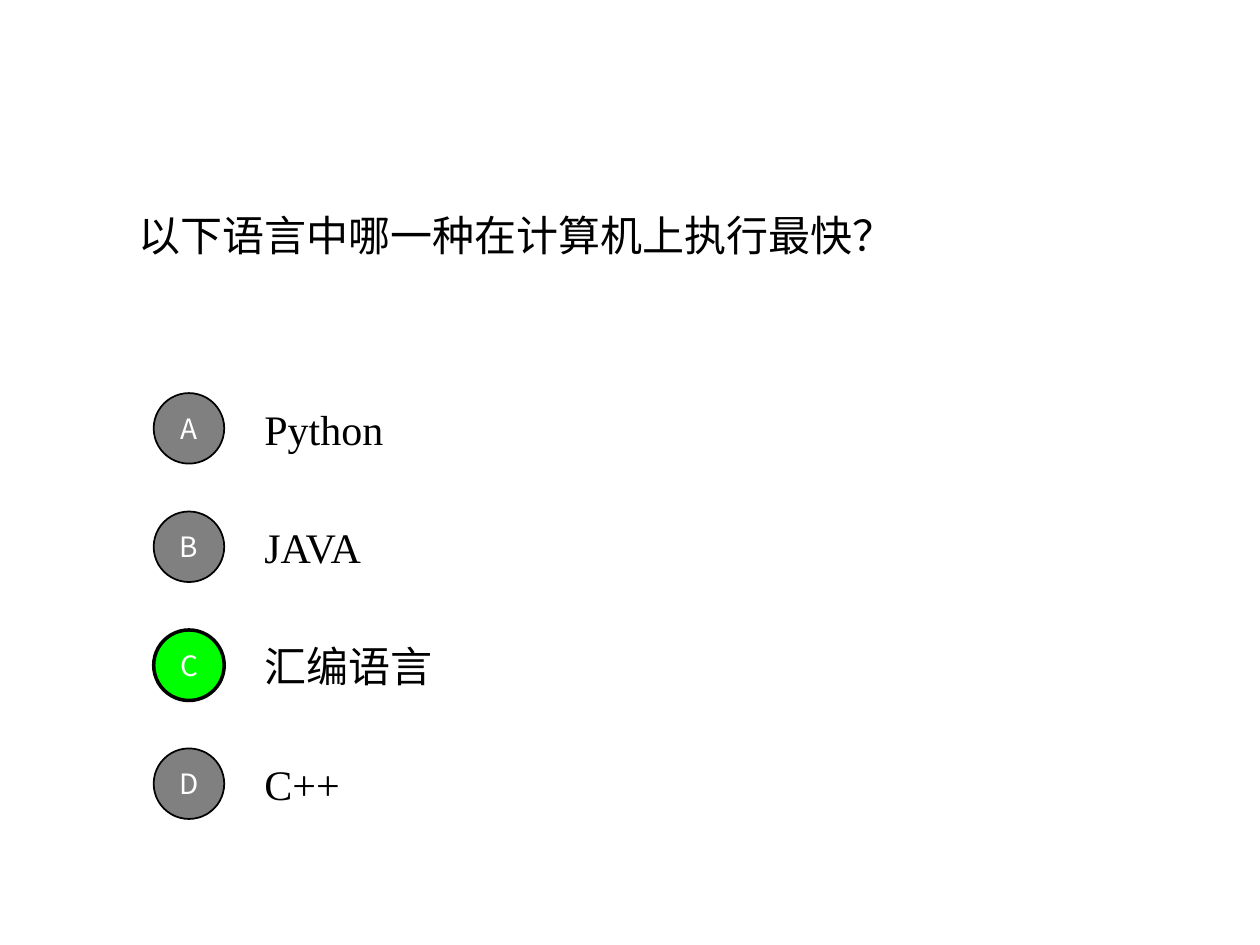
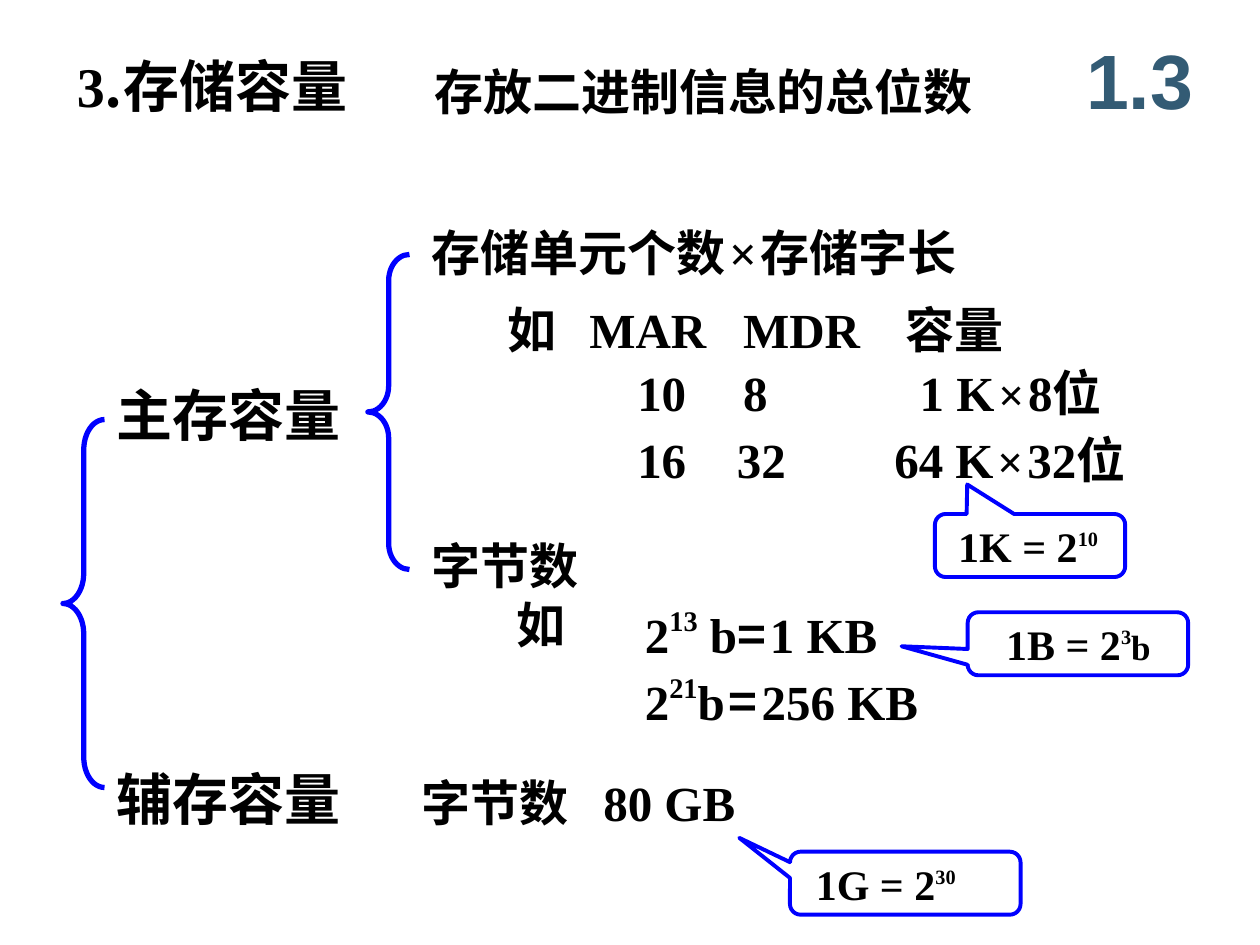
"""Build a quiz slide on languages and a slide on storage capacity."""
from lxml.etree import SubElement
from pptx import Presentation
from pptx.dml.color import RGBColor
from pptx.enum.shapes import MSO_SHAPE
from pptx.enum.text import MSO_ANCHOR, MSO_AUTO_SIZE, PP_ALIGN
from pptx.oxml.ns import qn
from pptx.util import Inches, Pt

BLACK = RGBColor(0x00, 0x00, 0x00)
WHITE = RGBColor(0xFF, 0xFF, 0xFF)
GREY = RGBColor(0x80, 0x80, 0x80)
GREEN = RGBColor(0x00, 0xFF, 0x00)
BLUE = RGBColor(0x00, 0x00, 0xFF)
TEAL = RGBColor(0x33, 0x5B, 0x74)
SERIF, CJK = "Times New Roman", "Noto Sans CJK SC"

HAN = {"name": CJK}
SUP = {"base": 45}
SMALL_SUP = {"base": 45, "size": 20}
THIN = (" ", {"size": 9})
TIMES = ("×", {"size": 26})
EQUALS = ("=", HAN)

QUESTION = "以下语言中哪一种在计算机上执行最快？"
OPTIONS = ["Python", "JAVA", "汇编语言", "C++"]
ANSWER = 2
OPTION_TOP, OPTION_PITCH, DISC = 3.12, 0.94, 0.56

HEADING = ["3", (".存储容量", HAN)]
SECTION = "1.3"

COL = {"branch": 0.83, "leaf": 3.33, "example": 3.93, "mar": 4.58, "mar_value": 4.96,
       "mdr": 5.8, "capacity": 7.09, "bytes": 5.02}
ROW = {"formula": 1.72, "head": 2.33, "first": 2.83, "second": 3.36,
       "bytes": 4.2, "kb": 4.74, "kb_256": 5.27, "disk": 6.08}

LABELS = [
    (3.35, 0.44, 5.58, 28, [("存放二进制信息的总位数", HAN)]),
    (COL["branch"], 2.97, 2.67, 32, [("主存容量", HAN)]),
    (COL["branch"], 6.02, 2.67, 32, [("辅存容量", HAN)]),
    (COL["leaf"], ROW["formula"], 5.58, 28,
     [("存储单元个数", HAN), THIN, "×", THIN, ("存储字长", HAN)]),
    (COL["example"], ROW["head"], 0.83, 28, [("如", HAN)]),
    (COL["mar"], ROW["head"], 1.2, 28, ["MAR"]),
    (COL["mdr"], ROW["head"], 1.2, 28, ["MDR"]),
    (COL["capacity"], ROW["head"], 1.2, 28, [("容量", HAN)]),
    (COL["mar_value"], ROW["first"], 0.8, 28, ["10"]),
    (COL["mdr"], ROW["first"], 0.8, 28, ["8"]),
    (7.2, ROW["first"], 2.25, 28, ["1 K", THIN, TIMES, THIN, "8位"]),
    (COL["mar_value"], ROW["second"], 0.8, 28, ["16"]),
    (5.75, ROW["second"], 0.8, 28, ["32"]),
    (7.0, ROW["second"], 2.33, 28, ["64 K", THIN, TIMES, THIN, "32位"]),
    (COL["leaf"], ROW["bytes"], 2.3, 28, [("字节数", HAN)]),
    (4.0, 4.67, 0.83, 28, [("如", HAN)]),
    (COL["bytes"], ROW["kb"], 2.81, 28, ["2", ("13", SUP), " b", EQUALS, THIN, "1 KB"]),
    (COL["bytes"], ROW["kb_256"], 2.84, 28,
     ["2", ("21", SUP), "b", THIN, EQUALS, THIN, "256 KB"]),
    (3.25, ROW["disk"], 1.4, 28, [("字节数", HAN)]),
    (4.69, ROW["disk"], 2.3, 28, ["80 GB"]),
]
BRACES = [((0.5, 3.33, 0.33, 2.92), (0.73, 0.5)), ((2.92, 2.02, 0.33, 2.5), (0.63, 0.5))]
CALLOUTS = [
    ((7.42, 4.08, 1.51, 0.5), (-0.33, -0.97, 0.17), 0.16, ["1K = 2", ("10", SMALL_SUP)]),
    ((7.68, 4.86, 1.75, 0.5), (-0.8, 0.04, 0.17), 0.28,
     ["1B = 2", ("3", SMALL_SUP), ("b", {"size": 20})]),
    ((6.27, 6.76, 1.83, 0.5), (-0.72, -0.72, 0.17), 0.18, ["1G = 2", ("30", SMALL_SUP)]),
]


def write(sp, runs, size, name=SERIF, bold=True, color=BLACK, align=PP_ALIGN.LEFT,
          **frame):
    tf = sp.text_frame
    settings = {"word_wrap": True, "auto_size": MSO_AUTO_SIZE.NONE} | frame
    for key, value in settings.items():
        setattr(tf, key, value)
    p = tf.paragraphs[0]
    p.alignment = align
    for item in runs:
        text, extra = (item, {}) if isinstance(item, str) else item
        fmt = {"size": size, "name": name, "bold": bold} | extra
        base = fmt.pop("base", 0)
        fmt["size"] = Pt(fmt["size"])
        r = p.add_run()
        r.text = text
        for key, value in fmt.items():
            setattr(r.font, key, value)
        r.font.color.rgb = color
        rpr = r._r.get_or_add_rPr()
        SubElement(rpr, qn("a:ea")).set("typeface", CJK)
        if base:
            rpr.set("baseline", str(base * 1000))


def place(sp, box):
    for key, value in zip(("left", "top", "width", "height"), box):
        setattr(sp, key, Inches(value))


def add_title(s, box, runs, size, **fmt):
    place(s.shapes.title, box)
    write(s.shapes.title, runs, size, **fmt)


def add_label(s, x, y, w, size, runs, **fmt):
    h = size * 1.2 / 72 + 0.1
    sp = s.shapes.add_textbox(*map(Inches, (x, y, w, h)))
    write(sp, runs, size, **fmt)


def add_outline(s, kind, box, line, width, fill=None, adj=()):
    sp = s.shapes.add_shape(kind, *map(Inches, box))
    sp.shadow.inherit = False
    if fill is None:
        sp.fill.background()
    else:
        sp.fill.solid()
        sp.fill.fore_color.rgb = fill
    sp.line.color.rgb = line
    sp.line.width = Pt(width)
    for i, value in enumerate(adj):
        sp.adjustments[i] = value
    return sp


def quiz_slide(prs):
    s = prs.slides.add_slide(prs.slide_layouts[5])
    plain = {"bold": False, "vertical_anchor": MSO_ANCHOR.MIDDLE}
    add_title(s, (1, 0.69, 8, 2.34), [QUESTION], 24, **plain)
    for i, option in enumerate(OPTIONS):
        y = OPTION_TOP + i * OPTION_PITCH
        right = i == ANSWER
        add_label(s, 2, y + 0.03, 7, 24, [option], **plain)
        sp = add_outline(s, MSO_SHAPE.OVAL, (1.22, y, DISC, DISC), BLACK,
                         2 if right else 1, GREEN if right else GREY)
        write(sp, ["ABCD"[i]], 16, name=CJK, color=WHITE, align=PP_ALIGN.CENTER,
              **plain | {"word_wrap": False})


def capacity_slide(prs):
    s = prs.slides.add_slide(prs.slide_layouts[5])
    add_title(s, (0.51, 0.36, 2.8, 0.63), HEADING, 32, vertical_anchor=MSO_ANCHOR.TOP)
    add_label(s, 8.42, 0.21, 1.25, 44, [SECTION], name="Arial", color=TEAL,
              align=PP_ALIGN.CENTER, vertical_anchor=MSO_ANCHOR.MIDDLE)
    for box, adj in BRACES:
        add_outline(s, MSO_SHAPE.LEFT_BRACE, box, BLUE, 3, adj=adj)
    for label in LABELS:
        add_label(s, *label)
    for box, adj, inset, runs in CALLOUTS:
        sp = add_outline(s, MSO_SHAPE.ROUNDED_RECTANGULAR_CALLOUT, box, BLUE, 2.25, adj=adj)
        write(sp, runs, 24, margin_left=Inches(inset), margin_right=0,
              margin_top=0, margin_bottom=0, vertical_anchor=MSO_ANCHOR.MIDDLE)


def main():
    prs = Presentation()
    prs.slide_width, prs.slide_height = Inches(10), Inches(7.5)
    quiz_slide(prs)
    capacity_slide(prs)
    prs.save("out.pptx")


if __name__ == "__main__":
    main()
